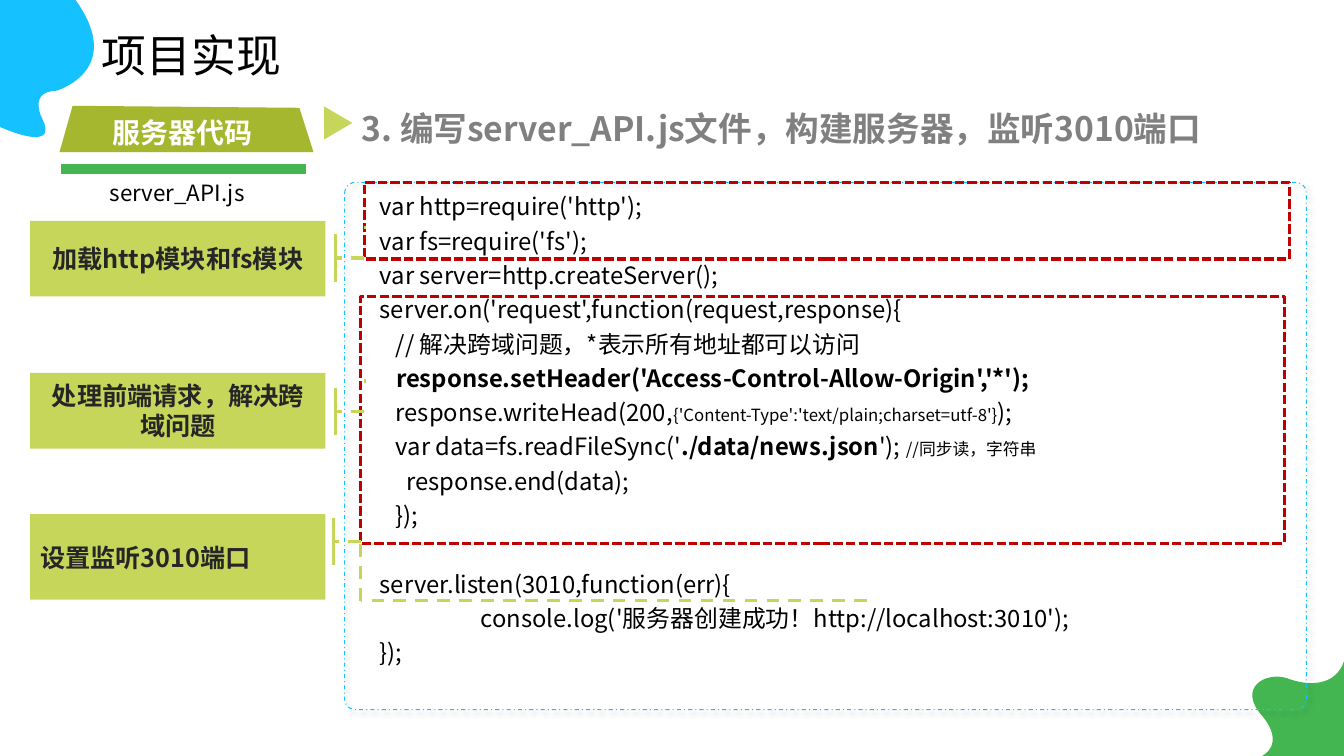
from lxml import etree
from pptx import Presentation
from pptx.dml.color import RGBColor
from pptx.enum.dml import MSO_LINE
from pptx.enum.shapes import MSO_CONNECTOR, MSO_SHAPE
from pptx.enum.text import MSO_ANCHOR, PP_ALIGN
from pptx.oxml.ns import qn
from pptx.util import Inches, Pt

RECT, ROUND, TRI = MSO_SHAPE.RECTANGLE, MSO_SHAPE.ROUNDED_RECTANGLE, MSO_SHAPE.ISOSCELES_TRIANGLE
DASH, DOTS, MIXED = MSO_LINE.DASH, MSO_LINE.SQUARE_DOT, MSO_LINE.DASH_DOT
LEFT, MID = PP_ALIGN.LEFT, PP_ALIGN.CENTER
TOP, CORE = MSO_ANCHOR.TOP, MSO_ANCHOR.MIDDLE
FONT = "Noto Sans CJK SC"
LIME, GREEN, BLUE, RED, OLIVE = "C6D65B", "43B651", "15C2FF", "C00000", "A5B72E"
COLS, ROWS = 160, 90

deck = Presentation()
deck.slide_width, deck.slide_height = Inches(13.3333), Inches(7.5)
unit = deck.slide_height / ROWS
slide = deck.slides.add_slide(deck.slide_layouts[5])
shapes = slide.shapes


def grid(*cells):
    return [round(cell * unit) for cell in cells]


def paint(part, color):
    if hasattr(part, "solid"):
        part.solid()
        part = part.fore_color
    part.rgb = RGBColor.from_string(color)


blobs = [
    (BLUE, 3, [(0, 15.12), (0, 15.12), (6.84, 18.24), (5.16, 14.4),
               (5.16, 14.4), (3.12, 10.92), (6.72, 10.8),
               (6.72, 10.8), (15, 8.4), (9, 0), (0, 0)]),
    (GREEN, 3, [(150.24, ROWS), (150.24, ROWS), (153.12, 88.68), (150.24, 85.2),
                (147.24, 81.84), (150.72, 79.92), (153.24, 80.76),
                (155.76, 81.72), (159, 81.72), (COLS, 78.72), (COLS, ROWS)]),
    (OLIVE, 0, [(8.64, 12.6), (35.64, 12.84), (37.32, 18.12), (7.08, 18.12)]),
]
for color, bends, dots in blobs:
    pen = shapes.build_freeform(*grid(*dots[0]))
    pen.add_line_segments([grid(*dot) for dot in dots[1:]], close=True)
    blob = pen.convert_to_shape()
    blob.shadow.inherit = False
    paint(blob.fill, color)
    blob.line.fill.background()
    steps = list(blob._element.iter(qn("a:lnTo")))
    for n in range(bends):
        curve = etree.Element(qn("a:cubicBezTo"))
        trio = steps[3 * n:3 * n + 3]
        trio[0].addprevious(curve)
        for step in trio:
            curve.append(step[0])
            step.getparent().remove(step)

boxes = [
    (ROUND, (41.04, 21.72, 114.48, 62.76), None, BLUE, 0.75, MIXED),
    (RECT, (43.44, 21.72, 110.04, 9.12), None, RED, 2.25, DOTS),
    (RECT, (42.96, 35.28, 109.92, 29.4), None, RED, 2.25, DOTS),
    (RECT, (3.6, 26.28, 35.16, 9), LIME, None, 0, None),
    (RECT, (3.6, 44.4, 35.16, 9), LIME, None, 0, None),
    (RECT, (3.6, 61.2, 35.16, 10.2), LIME, None, 0, None),
    (TRI, (38.28, 12.96, 3.96, 3.36), LIME, None, 0, None),
    (RECT, (7.32, 19.56, 29.04, 1.08), GREEN, GREEN, 1, None),
]
made = []
for kind, area, fill, edge, width, dash in boxes:
    box = shapes.add_shape(kind, *grid(*area))
    box.shadow.inherit = False
    if fill:
        paint(box.fill, fill)
    else:
        box.fill.background()
    if edge:
        paint(box.line.fill, edge)
        box.line.width, box.line.dash_style = Pt(width), dash
    else:
        box.line.fill.background()
    made.append(box)
frame, labels, arrow = made[0], made[3:6], made[6]
arrow.rotation = 90
frame.adjustments[0] = 0.02
glow = etree.SubElement(frame._element.spPr.find(qn("a:effectLst")), qn("a:outerShdw"),
                        blurRad=str(Pt(4)), dist=str(Pt(3)), dir="2700000")
tone = etree.SubElement(glow, qn("a:srgbClr"), val="000000")
etree.SubElement(tone, qn("a:alpha"), val="40000")

links = [
    (103.2, 71.52, 42.96, 71.52, DASH), (42.96, 71.52, 42.96, 64.44, DASH),
    (42.96, 64.44, 39.72, 64.44, DASH), (39.72, 61.68, 39.72, 67.32, None),
]
for y in (27.12, 45.36):
    links += [(43.56, y, 43.32, y, DASH), (43.32, y + 3.6, 39.96, y + 3.6, DASH),
              (39.96, y + 0.8, 39.96, y + 6.4, None)]
for *ends, dash in links:
    link = shapes.add_connector(MSO_CONNECTOR.STRAIGHT, *grid(*ends))
    etree.SubElement(link._element.spPr, qn("a:effectLst"))
    paint(link.line.fill, LIME)
    link.line.width, link.line.dash_style = Pt(2.25), dash

title = shapes.title
title.left, title.top, title.width, title.height = grid(10.92, 2.64, 27, 7.68)
code, head, file, badge = [shapes.add_textbox(*grid(*area)) for area in (
    (44.04, 21.6, 113.28, 58.8), (41.88, 12.24, 111.48, 6),
    (11.88, 20.76, 21.72, 4.44), (12.24, 13.2, 19.08, 5.28))]
lines = [
    ["var http=require('http');"],
    ["var fs=require('fs');"],
    ["var server=http.createServer();"],
    ["server.on('request',function(request,response){"],
    ["   // 解决跨域问题，*表示所有地址都可以访问"],
    [("   response.setHeader('Access-Control-Allow-Origin','*');", {"bold": True})],
    ["   response.writeHead(200,",
     ("{'Content-Type':'text/plain;charset=utf-8'}", {"size": Pt(12)}), ");"],
    ["   var data=fs.readFileSync('", ("./data/news.json", {"bold": True}), "'); ",
     ("//同步读，字符串", {"size": Pt(12)})],
    ["     response.end(data);"],
    ["   });"],
    ["server.listen(3010,function(err){"],
    ["\tconsole.log('服务器创建成功！http://localhost:3010');"],
    ["});"],
]
texts = [
    (title, [["项目实现"]], 32, "000000", False, LEFT, TOP, True),
    (code, lines, 17, "000000", False, LEFT, TOP, True),
    (head, [["3. 编写server_API.js文件，构建服务器，监听3010端口"]], 24, "808080", True, LEFT, TOP, True),
    (file, [["server_API.js"]], 16, "000000", False, LEFT, TOP, True),
    (badge, [["服务器代码"]], 20, "FFFFFF", True, LEFT, TOP, False),
]
notes = ["加载http模块和fs模块", "处理前端请求，解决跨域问题", "设置监听3010端口"]
for label, note, side in zip(labels, notes, (MID, MID, LEFT)):
    texts.append((label, [[note]], 18, "262626", True, side, CORE, True))
for box, rows, size, color, bold, side, anchor, wrap in texts:
    body = box.text_frame
    body.word_wrap, body.vertical_anchor = wrap, anchor
    for n, row in enumerate(rows):
        para = body.add_paragraph() if n else body.paragraphs[0]
        para.alignment = side
        for piece in row:
            words, extra = (piece, {}) if isinstance(piece, str) else piece
            run = para.add_run()
            run.text = words
            style = {"name": FONT, "size": Pt(size), "bold": bold, **extra}
            for key, value in style.items():
                setattr(run.font, key, value)
            paint(run.font.color, color)
            east = etree.Element(qn("a:ea"), typeface=FONT)
            run.font._element.find(qn("a:latin")).addnext(east)

rows = code.text_frame.paragraphs
for para in rows:
    para.line_spacing = 1.2
listen, log = rows[-3:-1]
listen.space_before = Pt(24.5)
tabs = etree.SubElement(log._p.get_or_add_pPr(), qn("a:tabLst"))
etree.SubElement(tabs, qn("a:tab"), pos=str(Inches(1)), algn="l")

deck.save("out.pptx")
